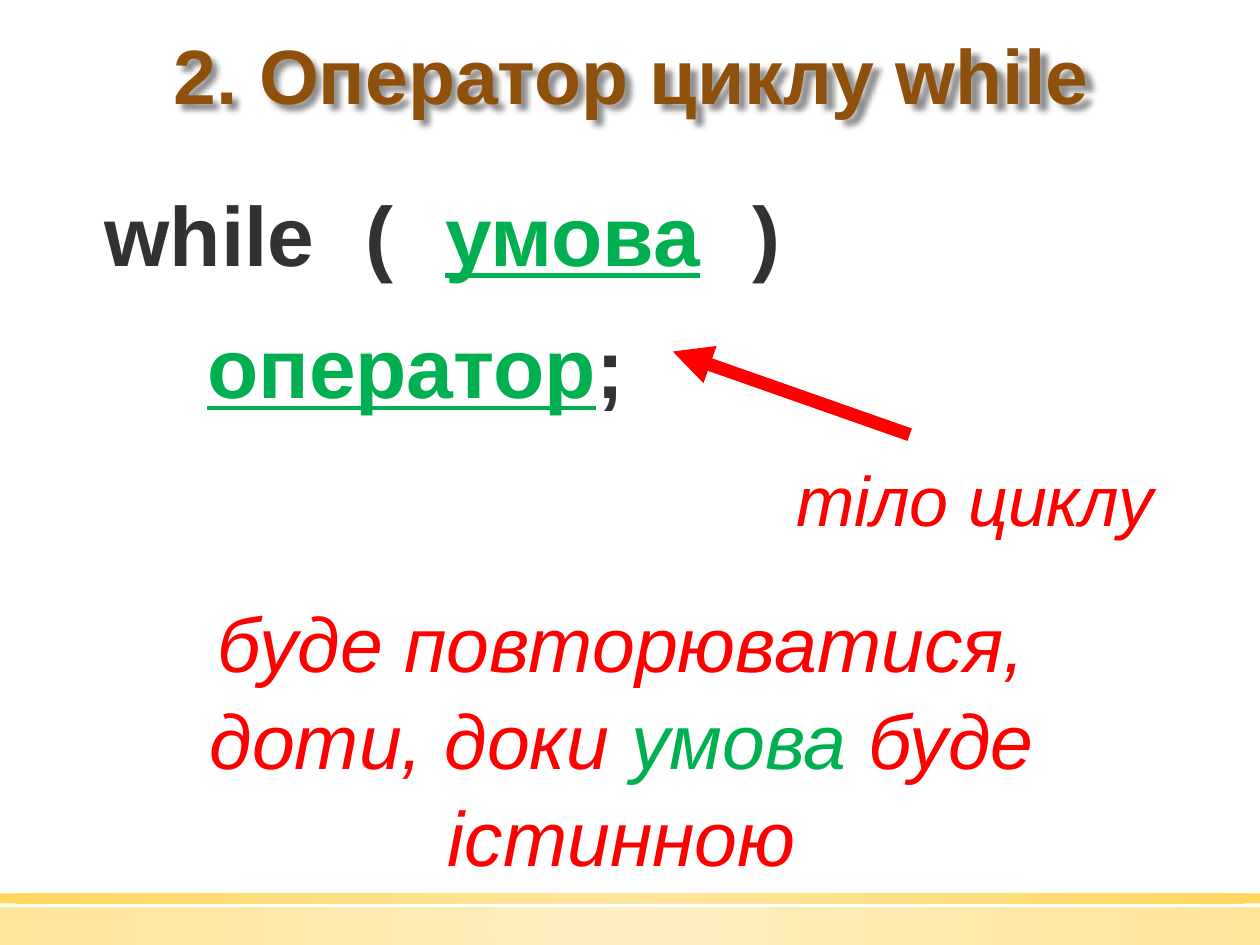
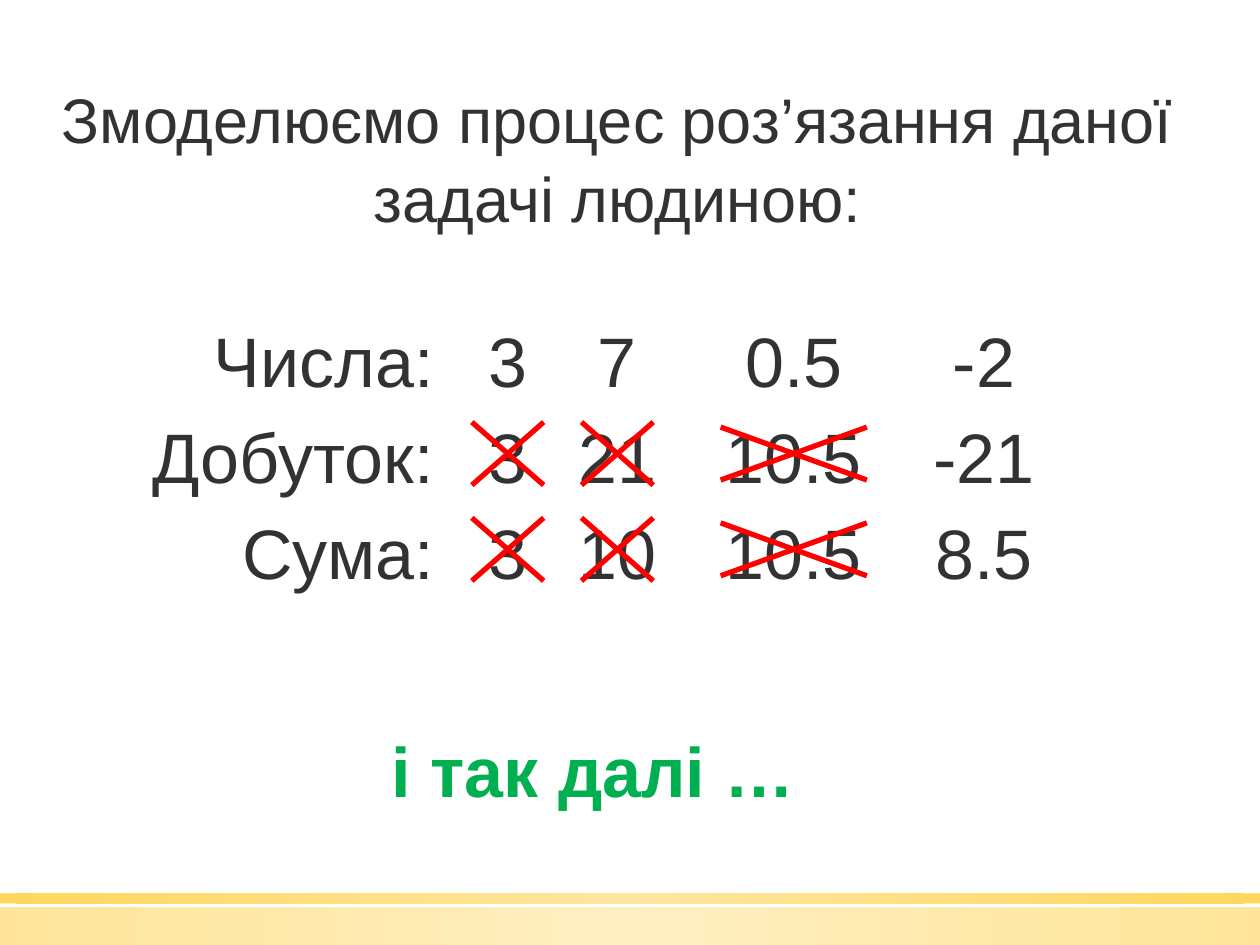
from dataclasses import dataclass

from lxml import etree
from pptx import Presentation
from pptx import util as u
from pptx.dml.color import RGBColor
from pptx.enum import shapes, text
from pptx.oxml import parse_xml
from pptx.oxml.ns import nsdecls, qn

COLUMNS, ROWS = 100, 75  # grid over a 10 x 7.5 inch slide
TITLE_ONLY = 5


@dataclass(frozen=True)
class Theme:
    font: str = "Arial"
    ink: str = "323232"
    heading: str = "8E500A"
    red: str = "FF0000"
    green: str = "00B050"
    paper: str = "FFFFFF"
    band_center: str = "FFE186"
    band_edge: str = "FFCD36"
    lead: int = 36
    normal: int = 40
    large: int = 44
    code: int = 48
    line_spacing: float = 1.05


class Deck:
    """Holds the theme and the current slide; lengths are grid columns and rows."""

    def __init__(self, theme):
        self.theme = theme
        self.presentation = Presentation()
        self.presentation.slide_width = u.Inches(10)
        self.presentation.slide_height = u.Inches(7.5)
        self.slide = None

    def x(self, columns):
        return round(self.presentation.slide_width * columns / COLUMNS)

    def y(self, rows):
        return round(self.presentation.slide_height * rows / ROWS)

    def box(self, left, top, width, height):
        return self.x(left), self.y(top), self.x(width), self.y(height)

    def new_slide(self):
        layout = self.presentation.slide_layouts[TITLE_ONLY]
        self.slide = self.presentation.slides.add_slide(layout)
        self.band(72, 3, opacity=50)
        self.band(70.9, 0.8, opacity=80)

    def rectangle(self, *place):
        shape = self.slide.shapes.add_shape(shapes.MSO_SHAPE.RECTANGLE, *self.box(*place))
        shape.shadow.inherit = False
        shape.line.fill.background()
        return shape

    def band(self, top, height, opacity):
        """Full-width footer strip with a radial, partly transparent gradient."""
        shape = self.rectangle(0, top, COLUMNS, height)
        stops = "".join(
            f'<a:gs pos="{position}"><a:srgbClr val="{color}">'
            f'<a:alpha val="{opacity * 1000}"/></a:srgbClr></a:gs>'
            for position, color in ((0, self.theme.band_center), (100000, self.theme.band_edge))
        )
        gradient = parse_xml(
            f'<a:gradFill {nsdecls("a")}><a:gsLst>{stops}</a:gsLst><a:path path="circle">'
            '<a:fillToRect l="50000" t="50000" r="50000" b="50000"/></a:path></a:gradFill>'
        )
        shape.element.spPr.find(qn("a:prstGeom")).addnext(gradient)

    def set_text(self, shape, runs, size, color=None, bold=False, italic=False,
                 align=text.PP_ALIGN.CENTER, spacing=None):
        """Fill a shape with one paragraph; a run is (words, color, underlined)."""
        frame = shape.text_frame
        frame.word_wrap = True
        frame.auto_size = text.MSO_AUTO_SIZE.NONE
        frame.vertical_anchor = text.MSO_ANCHOR.TOP
        paragraph = frame.paragraphs[0]
        paragraph.alignment = align
        paragraph.line_spacing = spacing or self.theme.line_spacing
        font = paragraph.font
        font.name, font.size = self.theme.font, u.Pt(size)
        font.bold, font.italic = bold, italic
        font.color.rgb = RGBColor.from_string(color or self.theme.ink)
        if isinstance(runs, str):
            runs = [(runs, None, False)]
        for words, run_color, underlined in runs:
            run = paragraph.add_run()
            run.text = words
            if run_color:
                run.font.color.rgb = RGBColor.from_string(run_color)
            if underlined:
                run.font.underline = True

    def title(self, place, words, size, **style):
        shape = self.slide.shapes.title
        shape.left, shape.top, shape.width, shape.height = self.box(*place)
        self.set_text(shape, words, size, **style)
        return shape

    def heading(self, place, words):
        """Bold, vertically centred title with a soft shadow under the letters."""
        shape = self.title(place, words, self.theme.large, color=self.theme.heading,
                           bold=True, spacing=0.9)
        shape.text_frame.vertical_anchor = text.MSO_ANCHOR.MIDDLE
        shape.element.spPr.append(parse_xml(
            f'<a:effectLst {nsdecls("a")}><a:outerShdw blurRad="38100" dist="50800" '
            'dir="2700000" algn="tl" rotWithShape="0"><a:srgbClr val="000000">'
            '<a:alpha val="43000"/></a:srgbClr></a:outerShdw></a:effectLst>'
        ))

    def label(self, place, runs, size, **style):
        shape = self.slide.shapes.add_textbox(*self.box(*place))
        self.set_text(shape, runs, size, **style)

    def code(self, place, runs):
        """One white tile holding a piece of program syntax."""
        shape = self.rectangle(*place)
        shape.fill.solid()
        shape.fill.fore_color.rgb = RGBColor.from_string(self.theme.paper)
        self.set_text(shape, runs, self.theme.code, bold=True)
        shape.text_frame.margin_top = shape.text_frame.margin_bottom = 0

    def line(self, start, end, width, arrow=False):
        connector = self.slide.shapes.add_connector(
            shapes.MSO_CONNECTOR.STRAIGHT,
            self.x(start[0]), self.y(start[1]), self.x(end[0]), self.y(end[1]))
        connector.line.color.rgb = RGBColor.from_string(self.theme.red)
        connector.line.width = u.Pt(width)
        properties = connector.element.spPr
        if arrow:
            etree.SubElement(properties.find(qn("a:ln")), qn("a:tailEnd"), type="triangle")
        etree.SubElement(properties, qn("a:effectLst"))

    def cross_out(self, center, middle, width, height):
        left, right = center - width / 2, center + width / 2
        top, bottom = middle - height / 2, middle + height / 2
        self.line((left, top), (right, bottom), 3)
        self.line((left, bottom), (right, top), 3)


def while_syntax(deck):
    theme = deck.theme
    deck.new_slide()
    deck.heading((0.3, 1.9, 99.7, 8.8), "2. Оператор циклу while")

    condition = [("умова", theme.green, True)]
    for left, width, runs in ((7, 19.3, "while"), (27.2, 5.8, "("),
                              (34.2, 22.5, condition), (58.1, 5.5, ")")):
        deck.code((left, 14.1, width, 8.1), runs)
    deck.code((14.9, 24.6, 36.2, 8.1),
              [("оператор", theme.green, True), (";", None, False)])

    deck.label((59.6, 35.4, 35.6, 7.7), "тіло циклу", theme.normal,
               color=theme.red, italic=True)
    deck.line((72.2, 34.5), (53.4, 27.9), 7.5, arrow=True)
    deck.label((7, 46.4, 84.7, 23.2),
               [("буде повторюватися, доти, доки ", None, False),
                ("умова", theme.green, False),
                (" буде істинною", None, False)],
               theme.large, color=theme.red, italic=True)


def manual_trace(deck):
    theme = deck.theme
    deck.new_slide()
    deck.title((0, 5.6, 98, 13.1), "Змоделюємо процес роз’язання даної задачі людиною:",
               theme.lead)

    first_row, row_step, row_height = 24.4, 7.6, 7.7
    centers = (40.3, 49, 63, 78.1)
    column_width = 13.4
    trace = (
        ("Числа:", ("3", "7", "0.5", "-2")),
        ("Добуток:", ("3", "21", "10.5", "-21")),
        ("Сума:", ("3", "10", "10.5", "8.5")),
    )
    for row, (name, values) in enumerate(trace):
        top = first_row + row * row_step
        deck.label((9, top, 26.4, row_height), name, theme.normal,
                   align=text.PP_ALIGN.RIGHT)
        for center, value in zip(centers, values):
            deck.label((center - column_width / 2, top, column_width, row_height),
                       value, theme.normal)
        if row == 0:
            continue
        for center, value in zip(centers[:-1], values):
            width, height = (11.6, 4.2) if len(value) > 2 else (5.7, 5)
            deck.cross_out(center, top + 4, width, height)

    deck.label((16.8, 56.9, 60.6, 7.7), "і так далі …", theme.normal,
               color=theme.green, bold=True)


def main():
    deck = Deck(Theme())
    while_syntax(deck)
    manual_trace(deck)
    deck.presentation.save("out.pptx")


if __name__ == "__main__":
    main()
